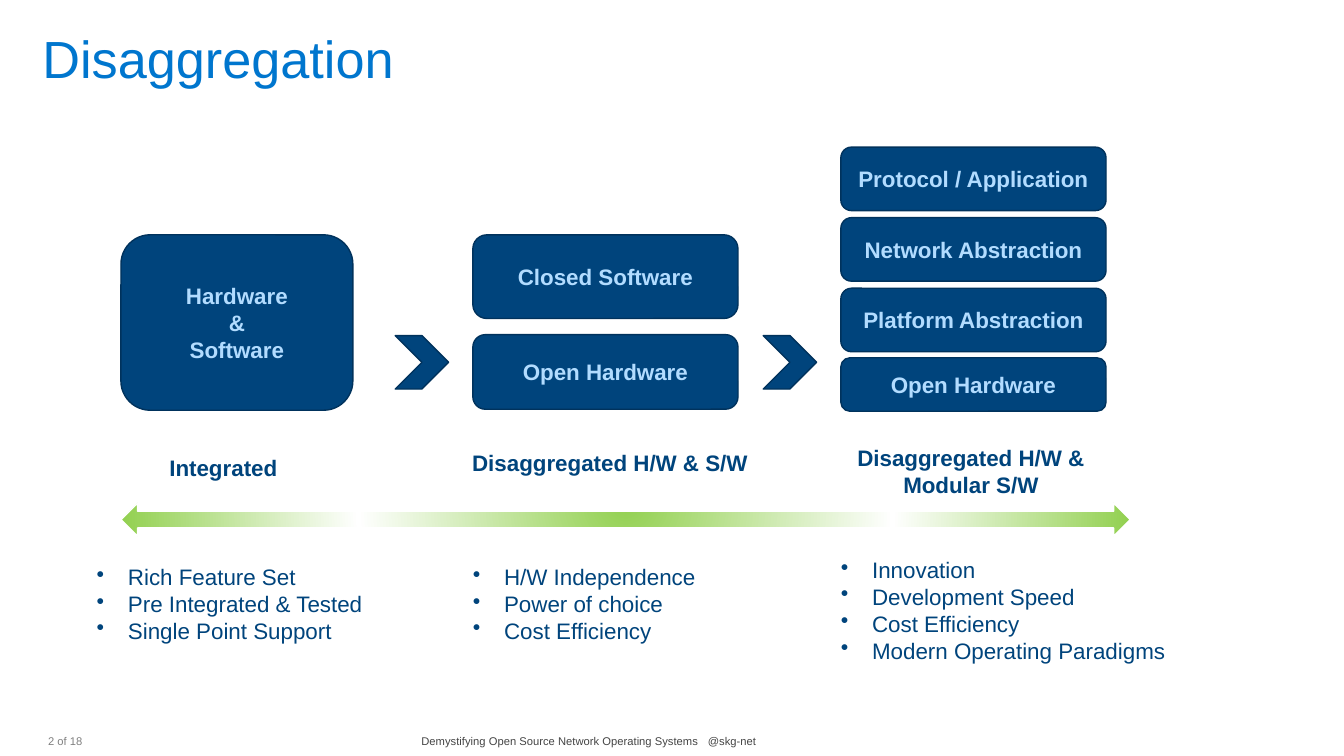
from dataclasses import dataclass

from lxml import etree
from pptx import Presentation
from pptx import util as u
from pptx.dml.color import RGBColor
from pptx.enum import shapes, text
from pptx.oxml import ns

PX = u.Inches(1) // 100


@dataclass(frozen=True)
class Theme:
    font: str = "Arial"
    title: str = "0076CE"
    navy: str = "00447C"
    outline: str = "00325C"
    block_text: str = "B2DCFF"
    green: str = "92D050"
    white: str = "FFFFFF"
    gray: str = "808080"
    dark_gray: str = "444444"
    title_size: float = 37.3
    body_size: float = 16
    footer_size: float = 8


THEME = Theme()
CENTER = text.PP_ALIGN.CENTER
LEFT = text.PP_ALIGN.LEFT
MIDDLE = text.MSO_ANCHOR.MIDDLE
TOP = text.MSO_ANCHOR.TOP

BLOCKS = [
    (120, 233, 230, 174, ["Hardware", "&", "Software"]),
    (469, 233, 263, 83, ["Closed Software"]),
    (469, 332, 263, 74, ["Open Hardware"]),
    (834, 146, 263, 63, ["Protocol / Application"]),
    (834, 216, 263, 63, ["Network Abstraction"]),
    (834, 286, 263, 63, ["Platform Abstraction"]),
    (834, 355, 263, 53, ["Open Hardware"]),
]
LABELS = [
    (149, 443, 145, 41, "Integrated"),
    (455, 442, 300, 33, "Disaggregated H/W & S/W"),
    (813, 451, 300, 33, "Disaggregated H/W & Modular S/W"),
]
BENEFITS = [
    (96, 559, 300, 81, ["Rich Feature Set", "Pre Integrated & Tested", "Single Point Support"]),
    (469, 559, 300, 81, ["H/W Independence", "Power of choice", "Cost Efficiency"]),
    (834, 552, 350, 108, ["Innovation", "Development Speed", "Cost Efficiency",
                          "Modern Operating Paradigms"]),
]
FOOTERS = [
    (40, 14, "2", THEME.gray, text.PP_ALIGN.RIGHT),
    (57, 40, "of 18", THEME.gray, LEFT),
    (418, 280, "Demystifying Open Source Network Operating Systems", THEME.dark_gray, LEFT),
    (702, 100, "@skg-net", THEME.dark_gray, LEFT),
]


def place(left, top, width, height):
    return left * PX, top * PX, width * PX, height * PX


def add_bullet(para):
    properties = para._p.get_or_add_pPr()
    properties.set("marL", str(31 * PX))
    properties.set("indent", str(-31 * PX))
    bullet = etree.SubElement(properties, ns.qn("a:buChar"))
    bullet.set("char", "•")


def write(box, lines, color, size=THEME.body_size, bold=False, align=LEFT,
          anchor=TOP, inset=0, spacing=1.0, bullets=False):
    frame = box.text_frame
    frame.word_wrap = True
    frame.auto_size = text.MSO_AUTO_SIZE.NONE
    frame.vertical_anchor = anchor
    frame.margin_left = frame.margin_right = inset * PX
    frame.margin_top = frame.margin_bottom = inset * PX // 2
    for index, line in enumerate(lines):
        para = frame.add_paragraph() if index else frame.paragraphs[0]
        if bullets:
            add_bullet(para)
        para.alignment = align
        para.line_spacing = spacing
        span = para.add_run()
        span.text = line
        span.font.name = THEME.font
        span.font.size = u.Pt(size)
        span.font.bold = bold
        span.font.color.rgb = RGBColor.from_string(color)


def add_text(page, area, lines, color, **style):
    write(page.shapes.add_textbox(*place(*area)), lines, color, **style)


def add_shape(page, kind, area, line=THEME.outline):
    shape = page.shapes.add_shape(kind, *place(*area))
    shape.shadow.inherit = False
    shape.fill.solid()
    shape.fill.fore_color.rgb = RGBColor.from_string(THEME.navy)
    shape.line.color.rgb = RGBColor.from_string(line)
    shape.line.width = u.Pt(1)
    return shape


def add_block(page, area, lines):
    block = add_shape(page, shapes.MSO_SHAPE.ROUNDED_RECTANGLE, area)
    write(block, lines, THEME.block_text, bold=True, align=CENTER, anchor=MIDDLE, inset=10)


def add_span_arrow(page, area):
    arrow = add_shape(page, shapes.MSO_SHAPE.LEFT_RIGHT_ARROW, area, THEME.white)
    solid = arrow._element.spPr.find(ns.qn("a:solidFill"))
    gradient = etree.Element(ns.qn("a:gradFill"), rotWithShape="1")
    stops = etree.SubElement(gradient, ns.qn("a:gsLst"))
    for position, color in ((0, THEME.green), (53, THEME.white), (100, THEME.green)):
        stop = etree.SubElement(stops, ns.qn("a:gs"), pos=str(position * 1000))
        etree.SubElement(stop, ns.qn("a:srgbClr"), val=color)
    circle = etree.SubElement(gradient, ns.qn("a:path"))
    circle.set("path", "circle")
    etree.SubElement(circle, ns.qn("a:fillToRect"),
                     l="50000", t="-80000", r="50000", b="180000")
    solid.getparent().replace(solid, gradient)


def add_title(page, title):
    box = page.shapes.title
    box.left, box.top, box.width, box.height = place(42, 33, 1250, 57)
    write(box, [title], THEME.title, THEME.title_size, spacing=0.9)


def main():
    deck = Presentation()
    deck.slide_width, deck.slide_height = 1333 * PX, 750 * PX
    page = deck.slides.add_slide(deck.slide_layouts[5])
    add_title(page, "Disaggregation")
    for *area, lines in BLOCKS:
        add_block(page, area, lines)
    for left in (392, 757):
        add_shape(page, shapes.MSO_SHAPE.CHEVRON, (left, 333, 53, 53))
    add_span_arrow(page, (120, 499, 1001, 33))
    for *area, label in LABELS:
        add_text(page, area, [label], THEME.navy, bold=True, align=CENTER,
                 anchor=MIDDLE, inset=10)
    for *area, lines in BENEFITS:
        add_text(page, area, lines, THEME.navy, bullets=True)
    for left, width, words, color, align in FOOTERS:
        add_text(page, (left, 730, width, 12), [words], color, size=THEME.footer_size,
                 align=align, anchor=MIDDLE, spacing=0.9)
    deck.save("out.pptx")


if __name__ == "__main__":
    main()
